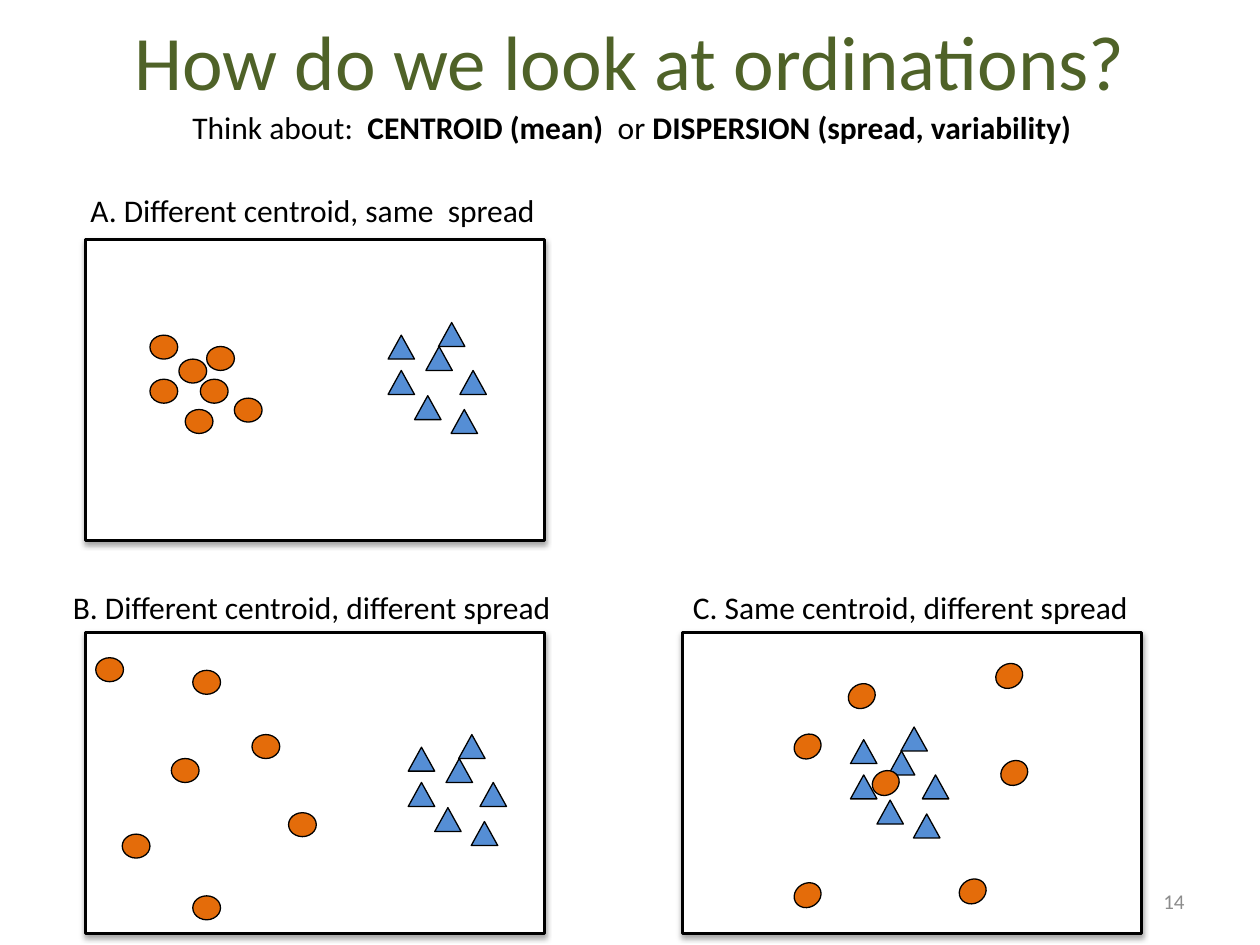
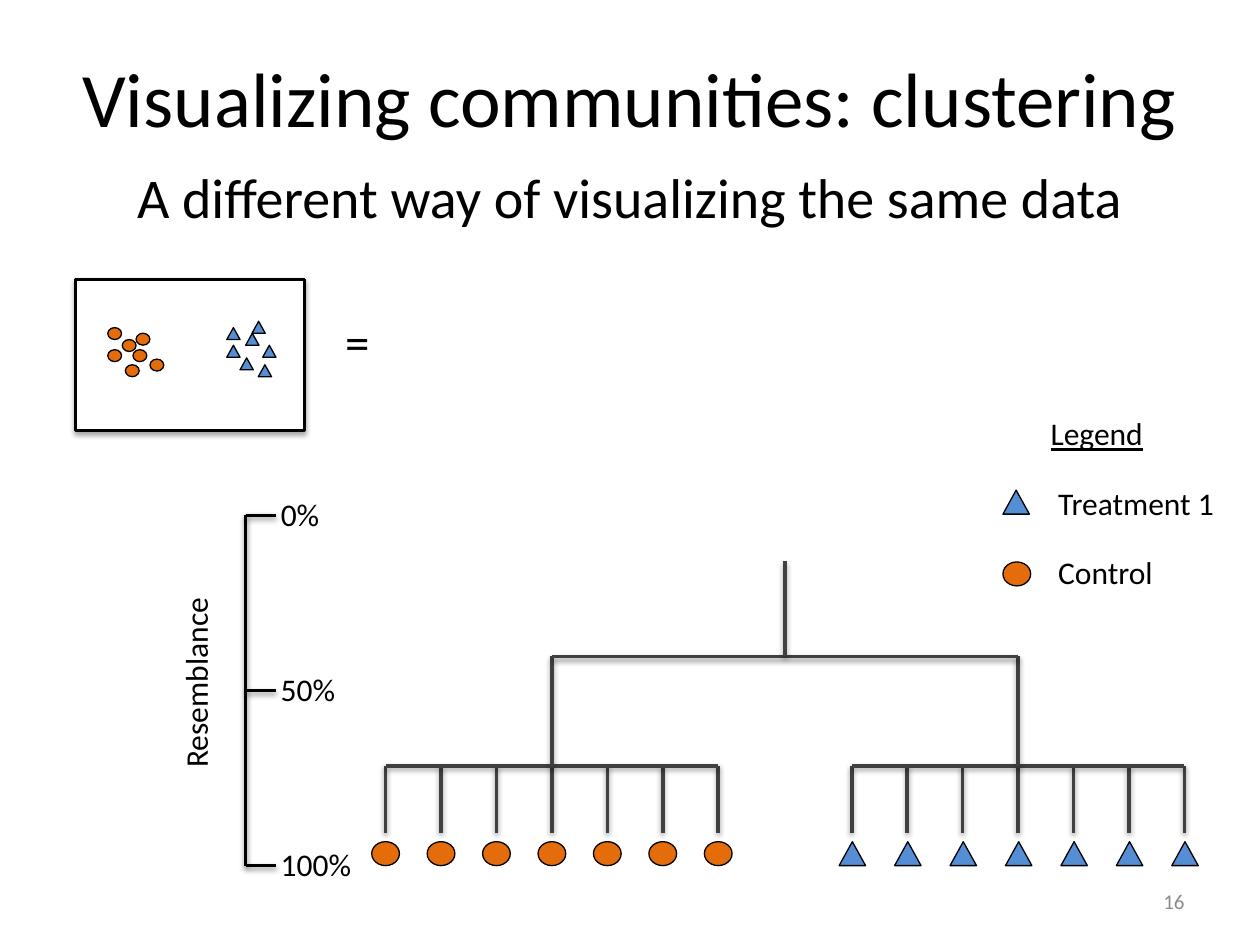
from dataclasses import dataclass
from typing import NamedTuple

from lxml.etree import SubElement
from pptx import Presentation
from pptx.dml.color import RGBColor
from pptx.enum.shapes import MSO_CONNECTOR, MSO_SHAPE as Preset
from pptx.enum.text import MSO_ANCHOR as Anchor, MSO_AUTO_SIZE as AutoSize, PP_ALIGN as Align
from pptx.oxml.ns import qn
from pptx.util import Pt

PX = 9144  # 100 px to the inch
FONT = "Calibri"
COLORS = {
    "ink": "000000",
    "paper": "FFFFFF",
    "heading": "4F6228",
    "control": "E46C0A",
    "treatment": "558ED5",
    "branch": "404040",
    "page": "8C8C8C",
}


class Box(NamedTuple):
    left: int
    top: int
    width: int
    height: int

    def emu(self) -> list[int]:
        return [round(length * PX) for length in self]


class Marker(NamedTuple):
    preset: Preset
    color: str
    width: int
    height: int = 19


class Cloud(NamedTuple):
    """Samples of one group, as offsets from an origin inside a panel."""
    marker: Marker
    origin: tuple[int, int]
    offsets: list[tuple[int, int]]
    rotation: float = 0


@dataclass
class Panel:
    left: int
    top: int
    clouds: list[Cloud]
    scale: float = 1


class Label(NamedTuple):
    text: str
    box: Box
    size: int = 18
    rotation: int = 0
    underline: bool = False


CONTROL = Marker(Preset.OVAL, "control", 22)
TREATMENT = Marker(Preset.ISOSCELES_TRIANGLE, "treatment", 21)

TIGHT_CONTROL = [(23, 19), (40, 35), (45, 9), (28, 59), (67, 50), (0, 0), (0, 35)]
TIGHT_TREATMENT = [(40, 0), (0, 10), (30, 19), (0, 38), (57, 38), (21, 58), (50, 69)]
WIDE_CONTROL = [(60, 80), (124, 61), (77, 10), (77, 189), (153, 123), (0, 0), (21, 140)]
AROUND_CONTROL = [(62, 85), (160, 0), (43, 16), (131, 171), (164, 77), (0, 56), (0, 174)]

SAME_SPREAD = [
    Cloud(CONTROL, (51, 76), TIGHT_CONTROL),
    Cloud(TREATMENT, (240, 66), TIGHT_TREATMENT),
]
DIFFERENT_SPREAD = [
    Cloud(CONTROL, (8, 20), WIDE_CONTROL),
    Cloud(TREATMENT, (256, 81), TIGHT_TREATMENT),
]
SAME_CENTROID = [
    Cloud(TREATMENT, (133, 75), TIGHT_TREATMENT),
    Cloud(CONTROL, (88, 25), AROUND_CONTROL, 330.4),
]


def rgb(color: str) -> RGBColor:
    return RGBColor.from_string(COLORS[color])


def style_font(paragraph, size: int, color: str = "ink") -> None:
    for run in paragraph.runs:
        run.font.name = FONT
        run.font.size = Pt(size)
        run.font.color.rgb = rgb(color)


def place(shape, box: Box) -> None:
    shape.left, shape.top, shape.width, shape.height = box.emu()


def add_shadow(shape, opacity: int, distance: float) -> None:
    """Cast a soft shadow downwards; call after fill and line are set."""
    effects = SubElement(shape._element.spPr, qn("a:effectLst"))
    shadow = SubElement(effects, qn("a:outerShdw"), blurRad=str(Pt(3.1)),
                        dist=str(Pt(distance)), dir="5400000", rotWithShape="0")
    tint = SubElement(shadow, qn("a:srgbClr"), val=COLORS["ink"])
    SubElement(tint, qn("a:alpha"), val=str(opacity * 1000))


def add_outlined(slide, preset: Preset, box: Box, fill: str, weight: float):
    shape = slide.shapes.add_shape(preset, *box.emu())
    shape.fill.solid()
    shape.fill.fore_color.rgb = rgb(fill)
    shape.line.color.rgb = rgb("ink")
    shape.line.width = Pt(weight)
    return shape


def add_marker(slide, marker: Marker, left: float, top: float,
               scale: float = 1, rotation: float = 0) -> None:
    box = Box(left, top, marker.width * scale, marker.height * scale)
    shape = add_outlined(slide, marker.preset, box, marker.color, 0.75)
    shape.shadow.inherit = False
    shape.rotation = rotation


def add_panel(slide, panel: Panel) -> None:
    frame_box = Box(panel.left, panel.top, 364 * panel.scale, 239 * panel.scale)
    frame = add_outlined(slide, Preset.RECTANGLE, frame_box, "paper", 1.75)
    add_shadow(frame, 35, 1.8)
    for cloud in panel.clouds:
        for dx, dy in cloud.offsets:
            add_marker(slide, cloud.marker,
                       panel.left + (cloud.origin[0] + dx) * panel.scale,
                       panel.top + (cloud.origin[1] + dy) * panel.scale,
                       panel.scale, cloud.rotation)


def add_label(slide, label: Label) -> None:
    text_box = slide.shapes.add_textbox(*label.box.emu())
    text_box.rotation = label.rotation
    frame = text_box.text_frame
    frame.text = label.text
    frame.word_wrap = False
    frame.auto_size = AutoSize.SHAPE_TO_FIT_TEXT
    style_font(frame.paragraphs[0], label.size)
    if label.underline:
        frame.paragraphs[0].runs[0].font.underline = True


def add_line(slide, x1: int, y1: int, x2: int, y2: int, color: str) -> None:
    ends = [length * PX for length in (x1, y1, x2, y2)]
    line = slide.shapes.add_connector(MSO_CONNECTOR.STRAIGHT, *ends)
    line.line.color.rgb = rgb(color)
    line.line.width = Pt(2)
    add_shadow(line, 38, 1.6)


def set_title(slide, text: str, box: Box, color: str) -> None:
    title = slide.shapes.title
    place(title, box)
    title.text_frame.text = text
    title.text_frame.vertical_anchor = Anchor.MIDDLE
    title.text_frame.paragraphs[0].alignment = Align.CENTER
    style_font(title.text_frame.paragraphs[0], 44, color)


def add_page_number(slide, number: int) -> None:
    frame = slide.shapes.add_textbox(*Box(717, 695, 233, 40).emu()).text_frame
    frame.text = str(number)
    frame.word_wrap = True
    frame.vertical_anchor = Anchor.MIDDLE
    frame.paragraphs[0].alignment = Align.RIGHT
    style_font(frame.paragraphs[0], 12, "page")


def add_think_about(slide) -> None:
    frame = slide.shapes.add_textbox(*Box(67, 81, 869, 40).emu()).text_frame
    frame.word_wrap = True
    hint = frame.paragraphs[0]
    hint.alignment = Align.CENTER
    for text, bold in [("Think about:  ", False), ("CENTROID (mean)  ", True),
                       ("or ", False), ("DISPERSION (spread, variability)", True)]:
        run = hint.add_run()
        run.text = text
        run.font.bold = bold
    style_font(hint, 18)


def build_ordinations(prs) -> None:
    slide = prs.slides.add_slide(prs.slide_layouts[5])
    set_title(slide, "How do we look at ordinations?", Box(0, -15, 1000, 125), "heading")
    add_think_about(slide)
    for panel, caption in [
        (Panel(68, 190, SAME_SPREAD),
         Label("A. Different centroid, same  spread", Box(62, 147, 376, 40))),
        (Panel(68, 502, DIFFERENT_SPREAD),
         Label("B. Different centroid, different spread", Box(48, 462, 403, 40))),
        (Panel(542, 502, SAME_CENTROID),
         Label("C. Same centroid, different spread", Box(540, 462, 369, 40))),
    ]:
        add_panel(slide, panel)
        add_label(slide, caption)
    add_page_number(slide, 14)


def set_subtitle(slide, text: str) -> None:
    subtitle = slide.placeholders[1]
    place(subtitle, Box(50, 124, 900, 73))
    subtitle.text_frame.text = text
    paragraph = subtitle.text_frame.paragraphs[0]
    paragraph.alignment = Align.CENTER
    properties = paragraph._p.get_or_add_pPr()
    properties.set("marL", str(38 * PX))
    properties.set("indent", str(-38 * PX))
    SubElement(properties, qn("a:buNone"))
    style_font(paragraph, 32)


def add_legend(slide) -> None:
    add_marker(slide, TREATMENT, 796, 389)
    add_marker(slide, CONTROL, 796, 446)
    for label in [Label("Treatment 1", Box(830, 379, 145, 40)),
                  Label("Control", Box(830, 434, 96, 40)),
                  Label("Legend", Box(824, 324, 94, 40), underline=True)]:
        add_label(slide, label)


def add_dendrogram(slide) -> None:
    leaf_gap, leaf_count = 44, 7
    leaf_y, cluster_y, join_y, root_y = 661, 608, 521, 445
    span = leaf_gap * (leaf_count - 1)
    stems = []
    for marker, first in [(CONTROL, 306), (TREATMENT, 676)]:
        for x in range(first, first + span + 1, leaf_gap):
            add_line(slide, x, leaf_y, x, cluster_y, "branch")
            add_marker(slide, marker, x - marker.width // 2, 668)
        add_line(slide, first, cluster_y, first + span, cluster_y, "branch")
        stem = first + span // 2
        add_line(slide, stem, cluster_y, stem, join_y, "branch")
        stems.append(stem)
    root = sum(stems) // 2
    add_line(slide, stems[0], join_y, stems[1], join_y, "branch")
    add_line(slide, root, join_y, root, root_y, "branch")


def add_resemblance_axis(slide) -> None:
    axis_x, top, bottom = 195, 409, 687
    add_line(slide, axis_x, bottom, axis_x, top, "ink")
    for text, share, width in [("0%", 0, 51), ("50%", 50, 64), ("100%", 100, 77)]:
        y = top + (bottom - top) * share // 100
        add_line(slide, axis_x, y, axis_x + 24, y, "ink")
        add_label(slide, Label(text, Box(213, y - 21, width, 40)))
    add_label(slide, Label("Resemblance", Box(77, 521, 156, 40), rotation=270))


def build_clustering(prs) -> None:
    slide = prs.slides.add_slide(prs.slide_layouts[1])
    set_title(slide, "Visualizing communities: clustering", Box(50, 14, 900, 125), "ink")
    set_subtitle(slide, "A different way of visualizing the same data")
    add_panel(slide, Panel(60, 222, SAME_SPREAD, scale=0.5))
    add_label(slide, Label("=", Box(264, 242, 40, 57), size=28))
    add_legend(slide)
    add_dendrogram(slide)
    add_resemblance_axis(slide)
    add_page_number(slide, 16)


def main() -> None:
    prs = Presentation()
    prs.slide_width, prs.slide_height = 1000 * PX, 750 * PX
    build_ordinations(prs)
    build_clustering(prs)
    prs.save("out.pptx")


if __name__ == "__main__":
    main()
